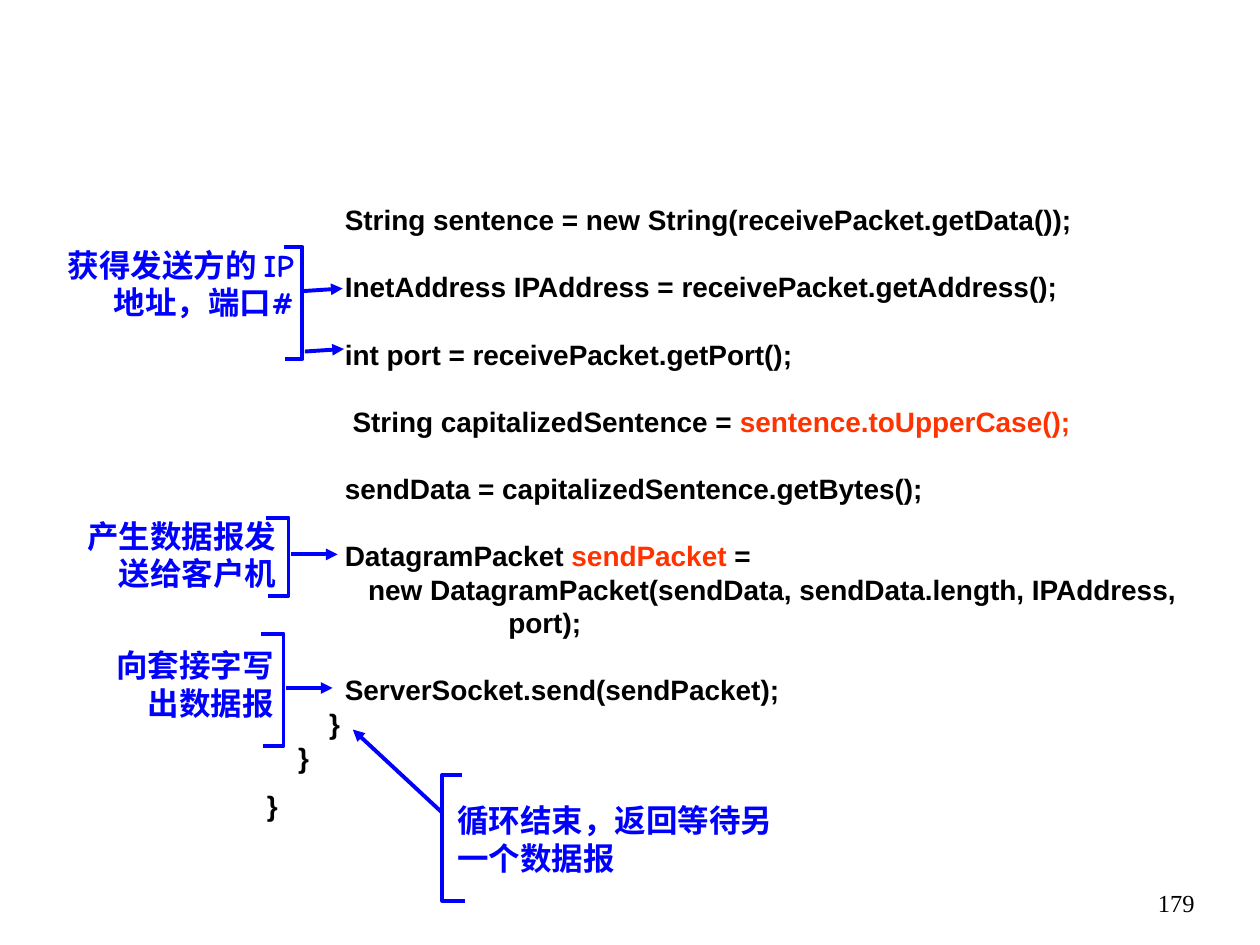
"""Build the slide that annotates the Java code of a UDP server."""
from lxml import etree
from pptx import Presentation
from pptx import util as u
from pptx.dml.color import RGBColor
from pptx.enum import shapes, text
from pptx.oxml.ns import qn

COLORS = {"code": "000000", "highlight": "FF3300", "note": "0000FF"}
SPACE_WIDTH = 0.0618
LINE_PITCH = 19.2
CODE_LINES = [
    (10, 0, [("String sentence = new String(receivePacket.getData());", "code")]),
    (10, 1, [("InetAddress IPAddress = receivePacket.getAddress();", "code")]),
    (10, 1, [("int port = receivePacket.getPort();", "code")]),
    (11, 1, [("String capitalizedSentence = ", "code"),
             ("sentence.toUpperCase();", "highlight")]),
    (10, 1, [("sendData = capitalizedSentence.getBytes();", "code")]),
    (10, 1, [("DatagramPacket ", "code"), ("sendPacket", "highlight"), (" =", "code")]),
    (13, 0, [("new DatagramPacket(sendData, sendData.length, IPAddress,", "code")]),
    (31, 0, [("port);", "code")]),
    (10, 1, [("ServerSocket.send(sendPacket);", "code")]),
    (8, 0, [("}", "code")]),
    (4, 0, [("}", "code")]),
    (0, 0.43, [("}", "code")]),
]
NOTES = [
    ("获得发送方的 IP 地址，端口#", (0.14, 1.9, 2.29, 1), "RIGHT", "TOP"),
    ("产生数据报发送给客户机", (0.41, 4.05, 1.88, 0.7), "RIGHT", "MIDDLE"),
    ("向套接字写出数据报", (0.72, 5.08, 1.55, 0.7), "RIGHT", "MIDDLE"),
    ("循环结束，返回等待另一个数据报", (3.53, 6.31, 2.9, 0.7), "LEFT", "MIDDLE"),
]
BRACKETS = [
    (2.4, 2.25, 2.26, 1.96, 2.85),
    (2.29, 2.11, 2.13, 4.11, 4.73),
    (2.25, 2.07, 2.09, 5.03, 5.92),
    (3.51, 3.67, 3.69, 6.15, 7.15),
]
ARROWS = [
    (2.41, 2.31, 2.72, 2.29),
    (2.42, 2.79, 2.73, 2.77),
    (2.31, 4.4, 2.68, 4.4),
    (2.27, 5.46, 2.64, 5.46),
    (3.51, 6.45, 2.8, 5.79),
]


def style_run(run, font, size, color, bold=True):
    """Set the font, size, colour and weight of a run."""
    run.font.name, run.font.size, run.font.bold = font, u.Pt(size), bold
    run.font.color.rgb = RGBColor.from_string(COLORS[color])


def add_frame(slide, box, anchor="TOP"):
    """Add a wrapping text box and return its text frame."""
    frame = slide.shapes.add_textbox(*map(u.Inches, box)).text_frame
    frame.word_wrap = True
    frame.vertical_anchor = text.MSO_ANCHOR[anchor]
    return frame


def add_code(slide):
    """Add the code listing, indented by whole space widths."""
    frame = add_frame(slide, (2.02, 1.28, 7.52, 5.31))
    frame.margin_top = u.Inches(0.33)
    for number, (indent, gap, parts) in enumerate(CODE_LINES):
        line = frame.add_paragraph() if number else frame.paragraphs[0]
        line.line_spacing = u.Pt(LINE_PITCH)
        line.space_before = u.Pt(gap * LINE_PITCH)
        properties = line._p.get_or_add_pPr()
        properties.set("marL", str(u.Inches(indent * SPACE_WIDTH)))
        properties.set("indent", "0")
        for words, color in parts:
            run = line.add_run()
            run.text = words
            style_run(run, "Arial", 16, color)


def add_label(slide, words, box, align, anchor, font, size, color, bold):
    """Add a single-paragraph label."""
    frame = add_frame(slide, box, anchor)
    frame.text = words
    label = frame.paragraphs[0]
    label.alignment = text.PP_ALIGN[align]
    style_run(label.runs[0], font, size, color, bold)


def style_line(line):
    """Give a line the colour and width of the notes."""
    line.color.rgb = RGBColor.from_string(COLORS["note"])
    line.width = u.Pt(2.25)


def add_bracket(slide, spine, top_end, bottom_end, top, bottom):
    """Add a square bracket whose arms run from its spine to their ends."""
    corners = [(top_end, top), (spine, top), (spine, bottom), (bottom_end, bottom)]
    points = [(u.Inches(x), u.Inches(y)) for x, y in corners]
    builder = slide.shapes.build_freeform(*points[0])
    builder.add_line_segments(points[1:], close=False)
    bracket = builder.convert_to_shape()
    bracket.shadow.inherit = False
    bracket.fill.background()
    style_line(bracket.line)


def add_arrow(slide, ends):
    """Add a straight line with an arrowhead at its far end."""
    arrow = slide.shapes.add_connector(
        shapes.MSO_CONNECTOR.STRAIGHT, *map(u.Inches, ends))
    style_line(arrow.line)
    etree.SubElement(arrow.line._get_or_add_ln(), qn("a:tailEnd"), type="triangle")
    etree.SubElement(arrow._element.spPr, qn("a:effectLst"))


def main():
    """Build and save the slide."""
    deck = Presentation()
    deck.slide_width, deck.slide_height = u.Inches(10), u.Inches(7.5)
    slide = deck.slides.add_slide(deck.slide_layouts[6])
    add_label(slide, "179", (9.08, 7, 0.5, 0.5), "RIGHT", "TOP",
              "Times New Roman", 14, "code", False)
    add_code(slide)
    for note in NOTES:
        add_label(slide, *note, "Comic Neue", 18, "note", True)
    for bracket in BRACKETS:
        add_bracket(slide, *bracket)
    for ends in ARROWS:
        add_arrow(slide, ends)
    deck.save("out.pptx")


if __name__ == "__main__":
    main()
